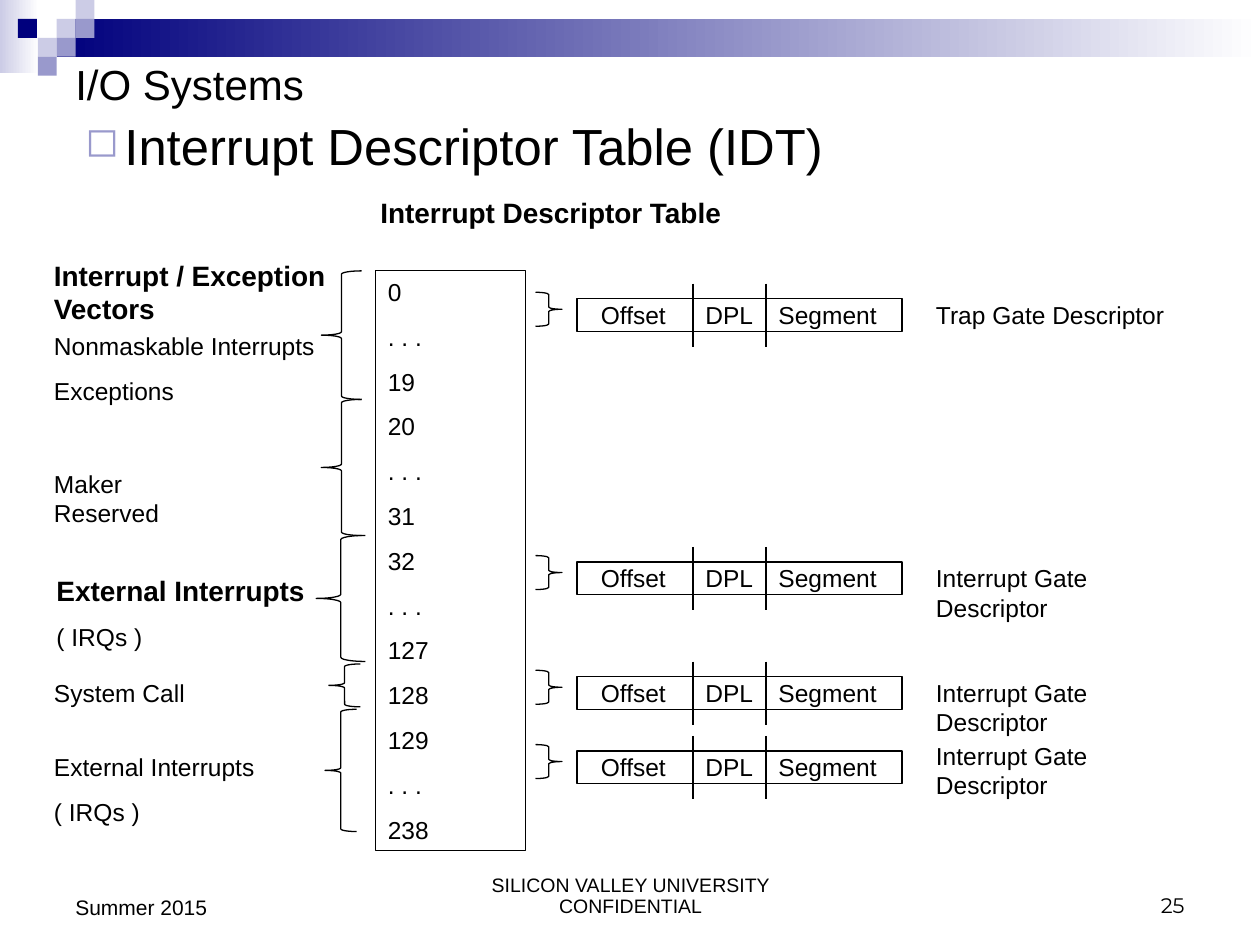
from pptx import Presentation
from pptx.dml.color import RGBColor
from pptx.enum.shapes import MSO_CONNECTOR, MSO_SHAPE
from pptx.enum.text import MSO_ANCHOR, PP_ALIGN
from pptx.oxml.ns import qn
from pptx.util import Inches, Pt
from lxml import etree

RECT = MSO_SHAPE.RECTANGLE
LEFT, RIGHT = MSO_SHAPE.LEFT_BRACE, MSO_SHAPE.RIGHT_BRACE
LINE = MSO_CONNECTOR.STRAIGHT
TOP, MID, LOW = MSO_ANCHOR.TOP, MSO_ANCHOR.MIDDLE, MSO_ANCHOR.BOTTOM
START, CENTER, END = PP_ALIGN.LEFT, PP_ALIGN.CENTER, PP_ALIGN.RIGHT

HUES = {"ink": "000000", "navy": "00007D", "pale": "CCCCE6",
        "lilac": "9999CC", "white": "FFFFFF"}
BODY = {"size": Pt(14), "name": "Arial", "bold": False}
HEAD = {**BODY, "size": Pt(16), "bold": True}
FOOT = {**BODY, "size": Pt(12)}


def hue(key):
    """Return the named colour."""
    return RGBColor.from_string(HUES[key])


class Deck:
    """Holds the style and the current slide."""

    def __init__(self, slide):
        self.shapes = slide.shapes
        self.width = Pt(0.75)
        self.gap = Pt(8.8)

    def shape(self, kind, *box):
        """Add an unfilled outlined shape."""
        item = self.shapes.add_shape(kind, *map(Inches, box))
        item.shadow.inherit = False
        item.fill.background()
        item.line.color.rgb = hue("ink")
        item.line.width = self.width
        return item

    def block(self, *box, tones):
        """Add a borderless block in one colour or a left-to-right fade."""
        item = self.shape(RECT, *box)
        item.line.fill.background()
        if len(tones) == 1:
            item.fill.solid()
            item.fill.fore_color.rgb = hue(tones[0])
            return
        item.fill.gradient()
        item.fill.gradient_angle = 0
        for stop, tone in zip(item.fill.gradient_stops, tones):
            stop.color.rgb = hue(tone)

    def label(self, frame, lines, align=START, anchor=TOP, wrap=True):
        """Fill a frame with pairs of text and format."""
        frame.word_wrap = wrap
        frame.vertical_anchor = anchor
        for i, (text, form) in enumerate(lines):
            para = frame.add_paragraph() if i else frame.paragraphs[0]
            para.alignment = align
            if i:
                para.space_before = self.gap
            run = para.add_run()
            run.text = text
            for key, value in form.items():
                setattr(run.font, key, value)
            run.font.color.rgb = hue("ink")

    def text(self, *box, lines, **opts):
        """Add a text box."""
        item = self.shapes.add_textbox(*map(Inches, box))
        self.label(item.text_frame, lines, **opts)
        return item.text_frame.paragraphs[0]

    def bullet(self, para, mark, tone, indent, hang):
        """Give a paragraph a hanging coloured bullet."""
        props = para._p.get_or_add_pPr()
        props.set("marL", str(Inches(indent)))
        props.set("indent", str(-Inches(hang)))
        color = etree.SubElement(props, qn("a:buClr"))
        etree.SubElement(color, qn("a:srgbClr"), val=HUES[tone])
        etree.SubElement(props, qn("a:buSzPct"), val="80000")
        etree.SubElement(props, qn("a:buChar"), char=mark)

    def rule(self, x, top, bottom):
        """Add a vertical line."""
        item = self.shapes.add_connector(LINE, *map(Inches, (x, top, x, bottom)))
        item.line.color.rgb = hue("ink")
        item.line.width = self.width
        etree.SubElement(item._element.spPr, qn("a:effectLst"))

    def gate(self, top, name, shift, wide):
        """Add one gate descriptor with its brace, fields and label."""
        self.shape(RECT, 4.58, top + 0.04, 2.58, 0.26)
        for x, w, field in FIELDS:
            self.text(x, top, w, 0.34, lines=[(field, BODY)])
        for x in (5.5, 6.08):
            self.rule(x, top - 0.08, top + 0.42)
        self.shape(RIGHT, 4.25, top - 0.01, 0.21, 0.27)
        self.text(7.33, top + shift, wide, 0.34, lines=[(name, BODY)])


FIELDS = [(4.67, 0.75, "Offset"), (5.5, 0.58, "DPL"), (6.08, 1.02, "Segment")]
CELL = 0.15
TILES = [(3, 1, "pale"), (4, 0, "pale"), (4, 1, "lilac"), (2, 2, "pale"),
         (0.95, 1, "navy"), (3, 2, "lilac"), (2, 3, "lilac")]
ROWS = ["0", ". . .", "19", "20", ". . .", "31", "32", ". . .", "127",
        "128", "129", ". . .", "238"]
BRACES = [(2.55, 2.15, 0.32, 1.02), (2.55, 3.17, 0.32, 1.08),
          (2.51, 4.25, 0.39, 1), (2.61, 5.27, 0.25, 0.34),
          (2.58, 5.63, 0.25, 0.97)]
NOTES = [
    (0.33, 2.58, 2.27, 0.69, [("Nonmaskable Interrupts", BODY), ("Exceptions", BODY)]),
    (0.33, 3.67, 1.46, 0.34, [("Maker Reserved", BODY)]),
    (0.35, 4.5, 2.17, 0.72, [("External Interrupts", HEAD), ("( IRQs )", BODY)]),
    (0.33, 5.33, 1.24, 0.34, [("System Call", BODY)]),
    (0.33, 5.92, 1.79, 0.69, [("External Interrupts", BODY), ("( IRQs )", BODY)]),
    (2.92, 1.5, 2.92, 0.37, [("Interrupt Descriptor Table", HEAD)]),
]
GATES = [(2.33, "Trap Gate Descriptor", 0, 2.17),
         (4.42, "Interrupt Gate Descriptor", 0, 2.33),
         (5.33, "Interrupt Gate Descriptor", 0, 2.33),
         (5.92, "Interrupt Gate Descriptor", -0.09, 2.33)]


def main():
    """Build the slide and save it."""
    show = Presentation()
    show.slide_width, show.slide_height = Inches(10), Inches(7.5)
    deck = Deck(show.slides.add_slide(show.slide_layouts[6]))

    deck.block(0, 0, 0.31, 0.58, tones=["pale", "white"])
    deck.block(0.45, 0.15, 9.55, 0.3, tones=["navy", "white"])
    for col, row, tone in TILES:
        deck.block(col * CELL, row * CELL, CELL, CELL, tones=[tone])

    para = deck.text(3.42, 6.83, 3.17, 0.5, align=CENTER, anchor=LOW, lines=[
        ("SILICON VALLEY UNIVERSITY CONFIDENTIAL", {**FOOT, "size": Pt(11.1)})])
    para.line_spacing = 0.9
    deck.text(7.17, 6.83, 2.33, 0.5, align=END, anchor=LOW,
              lines=[("25", {**FOOT, "name": "Montserrat"})])
    deck.text(0.5, 6.83, 2.33, 0.52, anchor=LOW, lines=[("Summer 2015", FOOT)])
    deck.text(0.5, 0.5, 9, 0.33, anchor=MID,
              lines=[("I/O Systems", {**BODY, "size": Pt(24)})])
    para = deck.text(0.08, 0.86, 9, 0.6, lines=[
        ("Interrupt Descriptor Table (IDT)", {**BODY, "size": Pt(29)})])
    deck.bullet(para, "◻", "lilac", 0.81, 0.31)

    table = deck.shape(RECT, 2.98, 2.15, 1.19, 4.6)
    deck.label(table.text_frame, [(row, BODY) for row in ROWS])
    for box in BRACES:
        deck.shape(LEFT, *box)
    for *box, lines in NOTES:
        deck.text(*box, lines=lines, wrap=False)
    for gate in GATES:
        deck.gate(*gate)
    deck.text(0.33, 2, 2.5, 0.64, lines=[("Interrupt / Exception Vectors", HEAD)])
    show.save("out.pptx")


if __name__ == "__main__":
    main()
